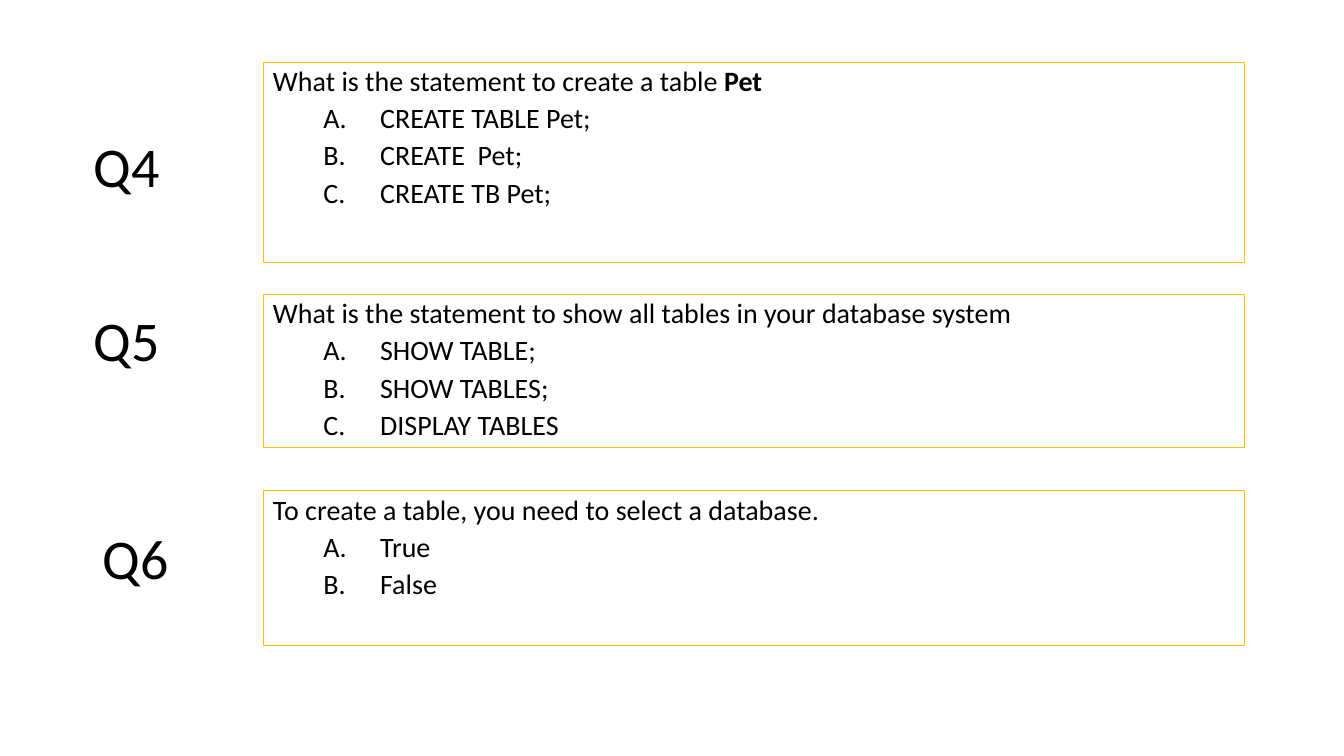
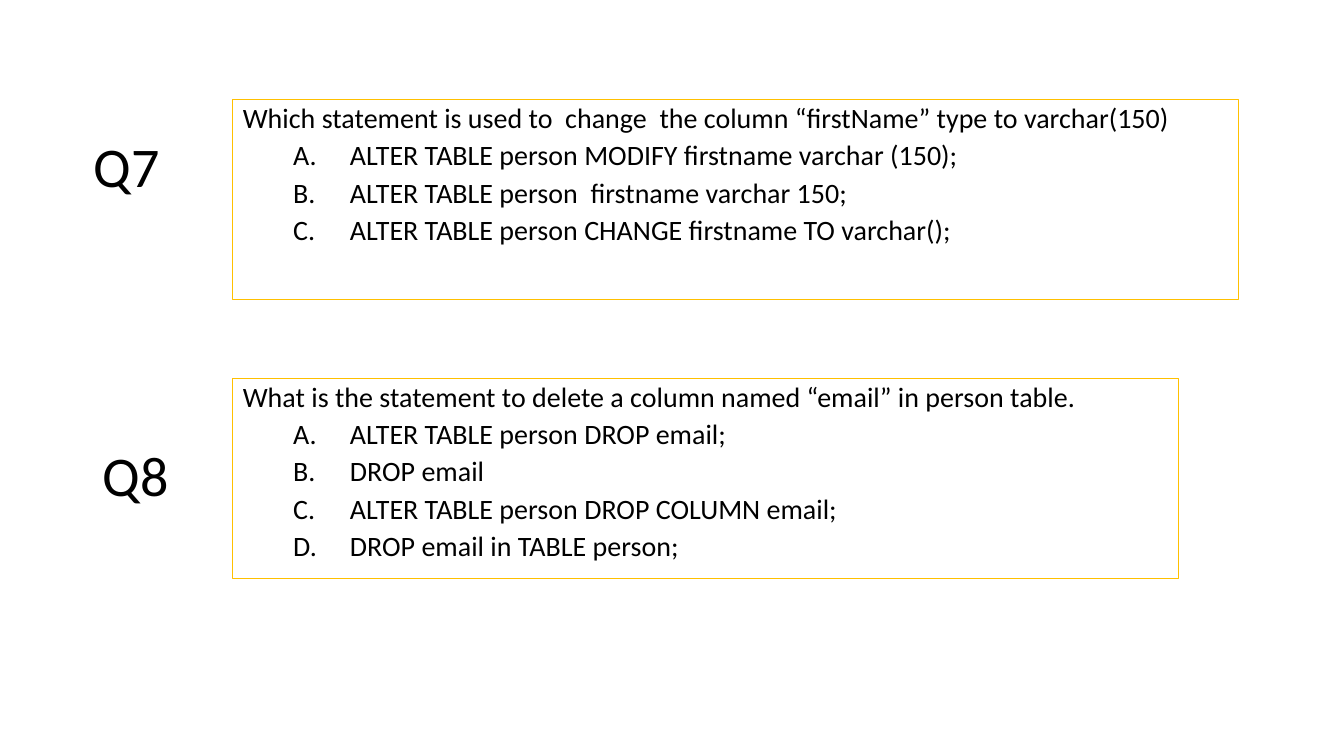
"""Build two quiz slides of labelled multiple-choice questions."""
from dataclasses import dataclass

from lxml.etree import SubElement
from pptx import Presentation
from pptx.dml.color import RGBColor as RGB
from pptx.enum.shapes import MSO_SHAPE as SHAPE
from pptx.enum.text import MSO_ANCHOR as ANCHOR, MSO_AUTO_SIZE as FIT, PP_ALIGN as ALIGN
from pptx.oxml.ns import qn
from pptx.util import Cm, Pt


@dataclass(frozen=True)
class Theme:
    """Colours, type and line sizes shared by the slides."""
    font: str = "Calibri"
    ink: RGB = RGB(0, 0, 0)
    frame: RGB = RGB(0xFF, 0xC0, 0x00)
    body: Pt = Pt(20)
    label: Pt = Pt(40)
    line: Pt = Pt(0.75)


@dataclass(frozen=True)
class Question:
    """One question: places in centimetres, then its wording."""
    label: str
    label_at: tuple
    box: tuple
    prompt: str
    answers: tuple
    bold: str = ""


SLIDES = [
    [
        Question("Q4", (2.11, 3.2), (6.63, 1.57, 24.74, 5.05),
                 "What is the statement to create a table ",
                 ("CREATE TABLE Pet;", "CREATE  Pet;", "CREATE TB Pet;"), bold="Pet"),
        Question("Q5", (2.11, 7.57), (6.63, 7.42, 24.74, 3.86),
                 "What is the statement to show all tables in your database system",
                 ("SHOW TABLE;", "SHOW TABLES;", "DISPLAY TABLES")),
        Question("Q6", (2.34, 13.08), (6.63, 12.37, 24.74, 3.89),
                 "To create a table, you need to select a database.",
                 ("True", "False")),
    ],
    [
        Question("Q7", (2.11, 3.2), (5.87, 2.51, 25.35, 5.05),
                 "Which statement is used to  change  the column “firstName” type to varchar(150)",
                 ("ALTER TABLE person MODIFY firstname varchar (150);",
                  "ALTER TABLE person  firstname varchar 150;",
                  "ALTER TABLE person CHANGE firstname TO varchar();")),
        Question("Q8", (2.34, 10.97), (5.87, 9.53, 23.83, 5.05),
                 "What is the statement to delete a column named “email” in person table.",
                 ("ALTER TABLE person DROP email;", "DROP email",
                  "ALTER TABLE person DROP COLUMN email;", "DROP email in TABLE person;")),
    ],
]
SLIDE_SIZE = (33.87, 19.05)
LABEL_SIZE = (2.18, 1.96)
ANSWER_INDENT, ANSWER_HANG = 2.7, 1.43
T = Theme()


def cms(values):
    return [Cm(v) for v in values]


def add_run(p, text, size, bold=False):
    r = p.add_run()
    r.text = text
    r.font.name, r.font.size, r.font.bold = T.font, size, bold
    r.font.color.rgb = T.ink


def space(p, before):
    p.alignment = ALIGN.LEFT
    p.line_spacing = 0.9
    p.space_before = Pt(before)


def number(p):
    pPr = p._p.get_or_add_pPr()
    pPr.set("marL", str(Cm(ANSWER_INDENT)))
    pPr.set("indent", str(-Cm(ANSWER_HANG)))
    SubElement(pPr, qn("a:buFont"), typeface=T.font)
    SubElement(pPr, qn("a:buAutoNum"), type="alphaUcPeriod")


def add_box(slide, q):
    sp = slide.shapes.add_shape(SHAPE.RECTANGLE, *cms(q.box))
    sp.shadow.inherit = False
    sp.fill.background()
    sp.line.color.rgb, sp.line.width = T.frame, T.line
    tf = sp.text_frame
    tf.word_wrap, tf.vertical_anchor = True, ANCHOR.TOP
    p = tf.paragraphs[0]
    space(p, 10)
    add_run(p, q.prompt, T.body)
    if q.bold:
        add_run(p, q.bold, T.body, bold=True)
    for answer in q.answers:
        p = tf.add_paragraph()
        p.level = 1
        space(p, 5)
        number(p)
        add_run(p, answer, T.body)


def add_label(slide, q):
    sp = slide.shapes.add_textbox(*cms(q.label_at + LABEL_SIZE))
    tf = sp.text_frame
    tf.word_wrap, tf.auto_size = False, FIT.SHAPE_TO_FIT_TEXT
    add_run(tf.paragraphs[0], q.label, T.label)


prs = Presentation()
prs.slide_width, prs.slide_height = cms(SLIDE_SIZE)
for questions in SLIDES:
    slide = prs.slides.add_slide(prs.slide_layouts[6])
    for q in questions:
        add_box(slide, q)
    for q in questions:
        add_label(slide, q)
prs.save("out.pptx")
